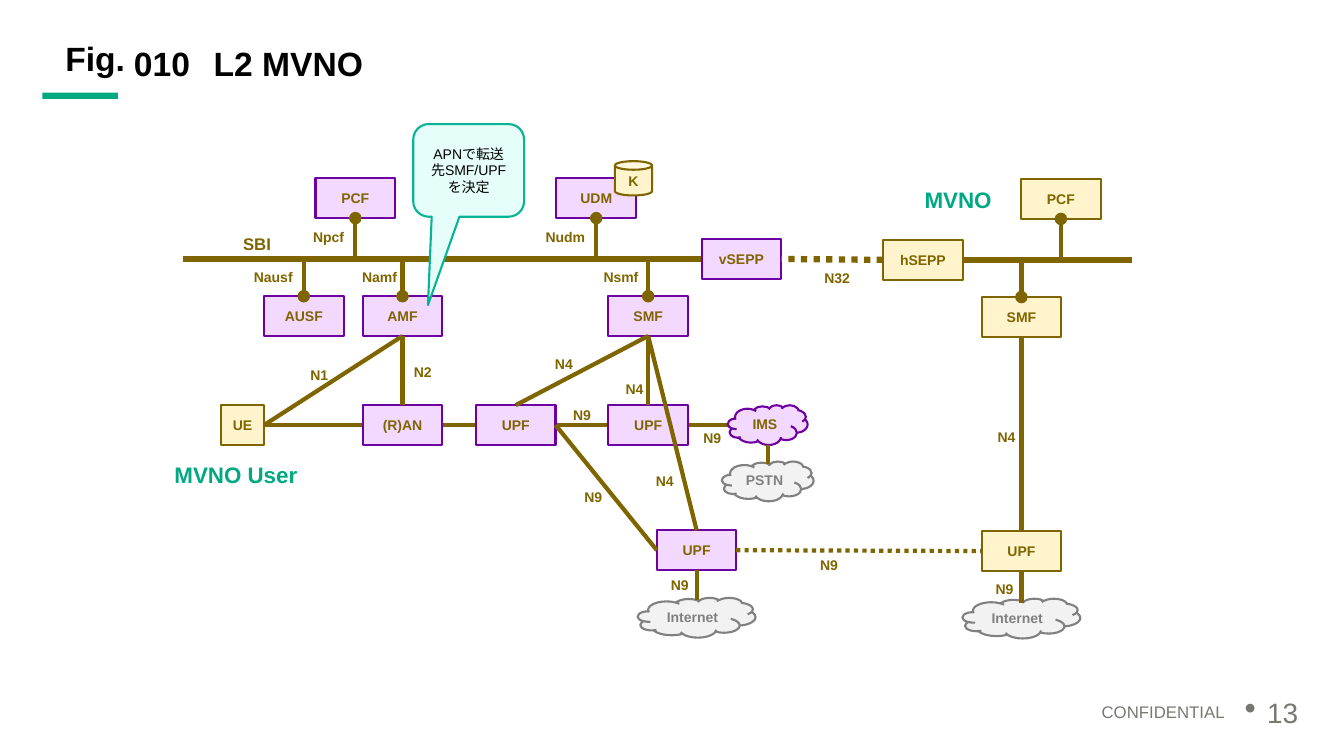
from dataclasses import dataclass
from typing import Any

from lxml.etree import SubElement
from pptx import Presentation
from pptx.dml.color import RGBColor
from pptx.enum.dml import MSO_LINE
from pptx.enum.shapes import MSO_CONNECTOR, MSO_SHAPE
from pptx.enum.text import MSO_ANCHOR, PP_ALIGN
from pptx.oxml.ns import qn
from pptx.util import Pt

BROWN, GREEN, BLACK, GRAY = "7F6500", "01A982", "000000", "787871"
HOST = ("F3D9FF", "6C00A0", BROWN)  # fill, outline, text
MVNO = ("FFF4CC", BROWN, BROWN)
OUTSIDE = ("F2F2F2", "808080", "808080")
NODE_WIDTH, NODE_HEIGHT = 56.9, 28.4
HALF_WIDTH, HALF_HEIGHT = NODE_WIDTH / 2, NODE_HEIGHT / 2

# Row centres shared by both networks
TOP, BUS, CONTROL, DATA, LOWER, INTERNET = 53.6, 97, 137.8, 215.6, 305, 353.2


def color(value):
    return RGBColor.from_string(value)


def write(box, text, size, ink, bold=True, align=PP_ALIGN.CENTER,
          anchor=MSO_ANCHOR.MIDDLE, inset=(0, 0), spacing=None):
    frame = box.text_frame
    frame.word_wrap = True
    frame.vertical_anchor = anchor
    frame.margin_left = frame.margin_right = Pt(inset[0])
    frame.margin_top = frame.margin_bottom = Pt(inset[1])
    para = frame.paragraphs[0]
    para.alignment = align
    if spacing:
        para.line_spacing = spacing
        para.space_before = Pt(0)
    span = para.add_run()
    span.text = text
    span.font.name = "Arial"
    span.font.size = Pt(size)
    span.font.bold = bold
    span.font.color.rgb = color(ink)
    return para


@dataclass
class Region:
    page: Any
    left: float
    top: float

    def place(self, x, y, width, height):
        return Pt(self.left + x), Pt(self.top + y), Pt(width), Pt(height)

    def text_box(self, x, y, width, height):
        return self.page.shapes.add_textbox(*self.place(x, y, width, height))

    def shape(self, kind, x, y, width, height, fill, outline=None):
        shape = self.page.shapes.add_shape(kind, *self.place(x, y, width, height))
        shape.shadow.inherit = False
        shape.fill.solid()
        shape.fill.fore_color.rgb = color(fill)
        if outline:
            shape.line.color.rgb = color(outline)
            shape.line.width = Pt(1.5)
        else:
            shape.line.fill.background()
        return shape

    def node(self, text, x, y, look, kind=MSO_SHAPE.RECTANGLE,
             width=NODE_WIDTH, height=NODE_HEIGHT):
        """Shape centred on (x, y)."""
        fill, outline, ink = look
        shape = self.shape(kind, x - width / 2, y - height / 2, width, height, fill, outline)
        write(shape, text, 10, ink)

    def label(self, text, x, y, size=10, ink=BROWN, align=PP_ALIGN.CENTER, width=NODE_WIDTH):
        """Text whose centre, left or right edge is at x, as aligned."""
        share = {PP_ALIGN.LEFT: 0, PP_ALIGN.CENTER: 0.5, PP_ALIGN.RIGHT: 1}[align]
        box = self.text_box(x - width * share, y - HALF_HEIGHT, width, NODE_HEIGHT)
        write(box, text, size, ink, align=align)

    def link(self, x1, y1, x2, y2, width=3, dotted=False, oval=False):
        start, end = self.place(x1, y1, 0, 0)[:2], self.place(x2, y2, 0, 0)[:2]
        line = self.page.shapes.add_connector(MSO_CONNECTOR.STRAIGHT, *start, *end)
        line.line.color.rgb = color(BROWN)
        line.line.width = Pt(width)
        if dotted:
            line.line.dash_style = MSO_LINE.ROUND_DOT
        properties = line._element.spPr
        if oval:
            SubElement(properties.find(qn("a:ln")), qn("a:headEnd"), type="oval")
        SubElement(properties, qn("a:effectLst"))

    def bus_stub(self, x, row):
        edge = row + HALF_HEIGHT if row < BUS else row - HALF_HEIGHT
        self.link(x, edge, x, BUS, oval=True)


def header(region):
    # Accent bar, figure number and title
    region.shape(MSO_SHAPE.RECTANGLE, 0, 36, 54, 4.4, GREEN)
    top = {"anchor": MSO_ANCHOR.TOP, "spacing": 0.9}
    write(region.text_box(2.2, 0, 56.9, 33.8), "Fig.", 24, BLACK, align=PP_ALIGN.RIGHT, **top)
    write(region.text_box(58.4, 0, 56.9, 33.8), "010", 24, BLACK,
          align=PP_ALIGN.LEFT, inset=(7.2, 3.6), **top)
    title = region.page.shapes.title
    title.left, title.top, title.width, title.height = region.place(115.2, 0, 784.8, 33.8)
    write(title, "L2 MVNO", 24, BLACK, align=PP_ALIGN.LEFT, inset=(7.2, 3.6), **top)


def host_network(region):
    ue, ausf, pcf, amf = 56.2, 100, 136.8, 170.5
    upf_relay, udm, smf, upf_exit, sepp, ims = 251.4, 308.9, 346, 380.6, 412.6, 431.4
    ue_edge = ue + 15.5
    below_control, above_data = CONTROL + HALF_HEIGHT, DATA - HALF_HEIGHT

    # Lines behind the nodes
    region.link(ue_edge, DATA, amf - HALF_WIDTH, DATA)
    region.link(amf + HALF_WIDTH, DATA, 405.7, DATA)
    region.link(14, BUS, sepp - HALF_WIDTH, BUS, width=4.5)

    # Network functions
    region.node("UE", ue, DATA, MVNO, width=31)
    for text, x, y in (
        ("PCF", pcf, TOP), ("UDM", udm, TOP), ("vSEPP", sepp, BUS),
        ("AUSF", ausf, CONTROL), ("AMF", amf, CONTROL), ("SMF", smf, CONTROL),
        ("(R)AN", amf, DATA), ("UPF", upf_relay, DATA), ("UPF", smf, DATA),
        ("UPF", upf_exit, LOWER),
    ):
        region.node(text, x, y, HOST)
    region.node("K", 335.5, 39.4, MVNO, MSO_SHAPE.CAN, 26.6, 24.5)

    # Outside networks
    region.node("IMS", ims, DATA, HOST, MSO_SHAPE.CLOUD)
    region.node("PSTN", ims, 255.8, OUTSIDE, MSO_SHAPE.CLOUD, 65.5)
    region.node("Internet", upf_exit, INTERNET, OUTSIDE, MSO_SHAPE.CLOUD, 84.2)

    # Service bus stubs and their names
    for text, x, row, gap in (
        ("Npcf", pcf, TOP, 8), ("Nudm", udm, TOP, 8), ("Nausf", ausf, CONTROL, 8),
        ("Namf", amf, CONTROL, 4), ("Nsmf", smf, CONTROL, 7),
    ):
        region.bus_stub(x, row)
        region.label(text, x - gap, 81 if row == TOP else 109.6, align=PP_ALIGN.RIGHT)

    # Reference point links
    for ends in (
        (ue_edge, DATA, amf, below_control),
        (amf, below_control, amf, above_data),
        (smf, below_control, smf, above_data),
        (smf, below_control, upf_relay, above_data),
        (smf, below_control, upf_exit, LOWER - HALF_HEIGHT),
        (upf_relay + HALF_WIDTH, DATA, upf_exit - HALF_WIDTH, LOWER),
        (upf_exit, LOWER + HALF_HEIGHT, upf_exit, 340.4),
        (ims, 230.2, ims, 243.2),
    ):
        region.link(*ends)
    for text, x, y in (
        ("N1", 111, 179.5), ("N2", 185, 178), ("N4", 285.8, 172.3),
        ("N4", 336.2, 189.6), ("N4", 357.8, 255.8), ("N9", 298.8, 208.3),
        ("N9", 306.7, 267.3), ("N9", 391.7, 224.8), ("N9", 368.6, 330),
    ):
        region.label(text, x, y)
    region.label("SBI", 66.6, 86, size=12)
    region.label("MVNO User", 7.6, 250.8, 16, GREEN, PP_ALIGN.LEFT, 130)

    # Callout on the AMF
    callout = region.shape(MSO_SHAPE.ROUNDED_RECTANGULAR_CALLOUT,
                           178.2, 0.6, 79.2, 66.2, "E5FEF9", "08B493")
    for index, value in enumerate((-0.367, 1.454, 0.167)):
        callout.adjustments[index] = value
    write(callout, "APNで転送先SMF/UPFを決定", 10, BLACK, bold=False, inset=(7.2, 3.6))


def mvno_network(region):
    sepp, core, pcf = 29.2, 99.6, 127.8
    region.link(sepp + HALF_WIDTH, BUS, 178.6, BUS, width=4.5)
    for text, x, y in (("hSEPP", sepp, BUS), ("PCF", pcf, TOP),
                       ("SMF", core, CONTROL), ("UPF", core, LOWER)):
        region.node(text, x, y, MVNO)
    region.node("Internet", core, INTERNET, OUTSIDE, MSO_SHAPE.CLOUD, 84.2)
    region.bus_stub(pcf, TOP)
    region.bus_stub(core, CONTROL)
    region.link(core, CONTROL + HALF_HEIGHT, core, LOWER - HALF_HEIGHT)
    region.link(core, LOWER + HALF_HEIGHT, core, 342)
    region.label("N4", 89, 223.5)
    region.label("N9", 87.5, 332.2)
    region.label("MVNO", 54.4, 54.3, 16, GREEN, width=92.9)


def roaming_links(region):
    region.link(72.7, BUS + 0.6, 0, BUS, width=4.5, dotted=True)
    region.label("N32", 40, 110.4)
    region.link(-32.2, LOWER, 143.3, LOWER + 0.6, dotted=True)
    region.label("N9", 34.2, 315.6)


def footer(region):
    write(region.text_box(0, 3, 324, 17.3), "CONFIDENTIAL", 12, GRAY, bold=False,
          align=PP_ALIGN.RIGHT, anchor=MSO_ANCHOR.TOP, inset=(7.2, 3.6), spacing=0.9)
    para = write(region.text_box(324, 0, 54, 28.8), "13", 20, GRAY, bold=False,
                 align=PP_ALIGN.LEFT, inset=(7.2, 3.6), spacing=0.9)
    properties = para._p.get_or_add_pPr()
    properties.set("marL", str(Pt(16)))
    properties.set("indent", str(-Pt(16)))
    SubElement(properties, qn("a:buSzPct"), val="120000")
    SubElement(properties, qn("a:buChar"), char="•")


def main():
    deck = Presentation()
    deck.slide_width, deck.slide_height = Pt(960), Pt(540)
    page = deck.slides.add_slide(deck.slide_layouts[5])
    header(Region(page, 30.2, 30.2))
    host_network(Region(page, 117, 88))
    mvno_network(Region(page, 630, 88.6))
    roaming_links(Region(page, 558, 88))
    footer(Region(page, 558, 496))
    deck.save("out.pptx")


if __name__ == "__main__":
    main()
